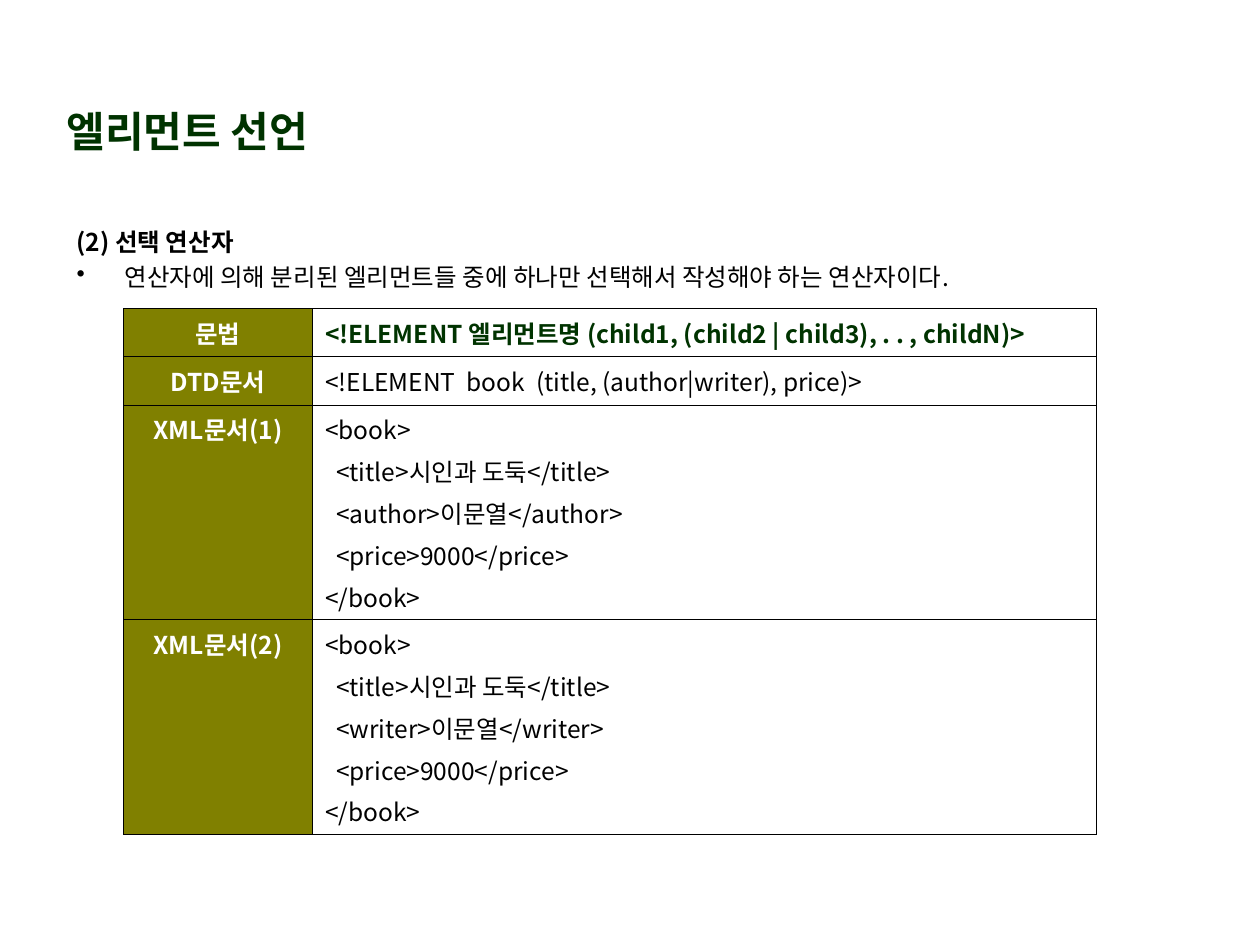
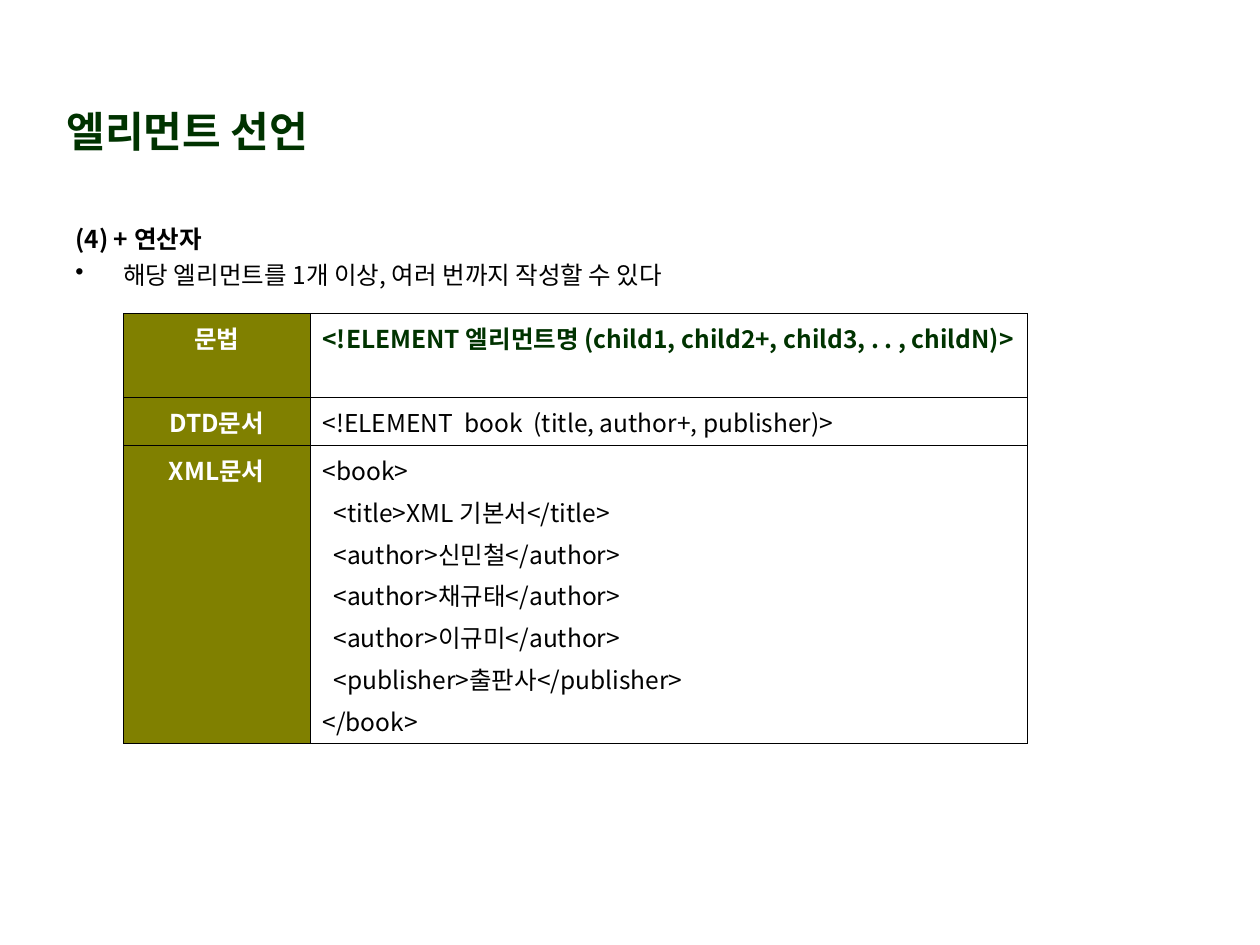
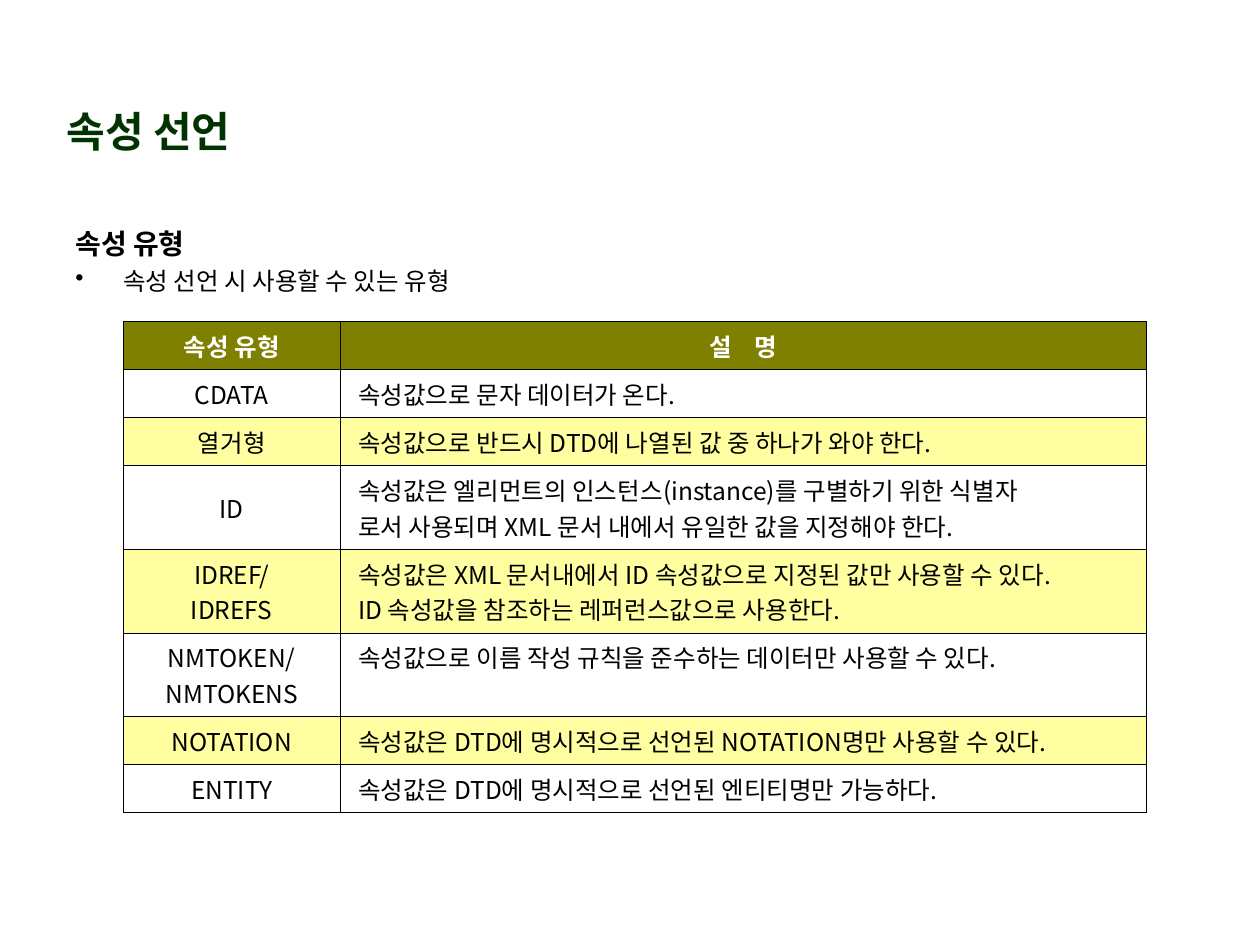
from dataclasses import dataclass

from lxml import etree
from pptx import Presentation
from pptx import util as u
from pptx.dml.color import RGBColor
from pptx.enum import text
from pptx.oxml import ns

# Shared look
FONT = "Noto Sans CJK KR"
DARK_GREEN = RGBColor(0x00, 0x33, 0x00)
OLIVE = RGBColor(0x80, 0x80, 0x00)
PALE_YELLOW = RGBColor(0xFF, 0xFF, 0xA1)
WHITE = RGBColor(0xFF, 0xFF, 0xFF)
BLACK = RGBColor(0x00, 0x00, 0x00)
BODY_SIZE = 14
LINE_GAP = 3.5  # points between paragraphs

# Grid of 100 columns by 75 rows
WIDTH, HEIGHT = u.Inches(10), u.Inches(7.5)
TABLE_LEFT = 9.8
LINE_ROWS, MARGIN_ROWS = 2.82, 1.0  # one line of text, cell margins

CENTER = text.PP_ALIGN.CENTER
TOP, MIDDLE = text.MSO_ANCHOR.TOP, text.MSO_ANCHOR.MIDDLE


@dataclass(frozen=True)
class Style:
    color: RGBColor = BLACK
    bold: bool = False
    size: float = BODY_SIZE


TITLE = Style(DARK_GREEN, True, 24)
HEADER = Style(WHITE, True)
GRAMMAR = Style(DARK_GREEN, True)
HEADING = Style(bold=True)
BODY = Style()


@dataclass(frozen=True)
class Cell:
    lines: tuple[str, ...]
    style: Style = BODY
    fill: RGBColor | None = None
    align: text.PP_ALIGN | None = None
    anchor: text.MSO_ANCHOR = TOP
    gap: float = 0
    indent: float = 1.0  # left margin in columns


@dataclass(frozen=True)
class Row:
    label: Cell
    content: Cell
    wrapped_lines: int = 1

    def height(self) -> float:
        count = max(len(self.label.lines), len(self.content.lines), self.wrapped_lines)
        gaps = (count - 1) * self.content.gap * 10 / 72
        return MARGIN_ROWS + count * LINE_ROWS + gaps


@dataclass(frozen=True)
class Page:
    title: str
    heading: str
    heading_style: Style
    bullet: str
    intro_at: tuple[float, float]
    table_top: float
    columns: tuple[float, float]
    rows: tuple[Row, ...]


def across(columns: float) -> int:
    return round(WIDTH * columns / 100)


def down(rows: float) -> int:
    return round(HEIGHT * rows / 75)


# Text
def add_span(para, words: str, style: Style):
    span = para.add_run()
    span.text = words
    span.font.name = FONT
    span.font.size = u.Pt(style.size)
    span.font.bold = style.bold
    span.font.color.rgb = style.color
    east_asian = etree.SubElement(span.font._element, ns.qn("a:ea"))
    east_asian.set("typeface", FONT)
    return span


def add_box(slide, left: float, top: float, width: float, height: float):
    box = slide.shapes.add_textbox(across(left), down(top), across(width), down(height))
    box.text_frame.word_wrap = True
    return box.text_frame


def hang_bullet(para) -> None:
    properties = para._p.get_or_add_pPr()
    properties.set("marL", str(across(3.8)))
    properties.set("indent", str(-across(3.8)))
    color = etree.SubElement(properties, ns.qn("a:buClr"))
    etree.SubElement(color, ns.qn("a:srgbClr")).set("val", str(BLACK))
    etree.SubElement(properties, ns.qn("a:buChar")).set("char", "•")


def add_title(slide, words: str) -> None:
    frame = add_box(slide, 4.3, 7.6, 44.1, 5.5)
    frame.vertical_anchor = MIDDLE
    add_span(frame.paragraphs[0], words, TITLE)


def add_intro(slide, page: Page) -> None:
    frame = add_box(slide, *page.intro_at, 89.9, 5.8)
    add_span(frame.paragraphs[0], page.heading, page.heading_style)
    para = frame.add_paragraph()
    hang_bullet(para)
    para.space_before = u.Pt(LINE_GAP)
    add_span(para, page.bullet, BODY)


# Table
def draw_borders(target) -> None:
    properties = target._tc.get_or_add_tcPr()
    for side in ("lnL", "lnR", "lnT", "lnB"):
        line = etree.SubElement(properties, ns.qn(f"a:{side}"))
        line.set("w", str(u.Pt(0.45)))
        fill = etree.SubElement(line, ns.qn("a:solidFill"))
        etree.SubElement(fill, ns.qn("a:srgbClr")).set("val", str(BLACK))


def fill_cell(target, cell: Cell) -> None:
    draw_borders(target)
    if cell.fill is None:
        target.fill.background()
    else:
        target.fill.solid()
        target.fill.fore_color.rgb = cell.fill
    target.margin_left = across(cell.indent)
    target.vertical_anchor = cell.anchor
    frame = target.text_frame
    for index, line in enumerate(cell.lines):
        para = frame.add_paragraph() if index else frame.paragraphs[0]
        para.alignment = cell.align
        if index:
            para.space_before = u.Pt(cell.gap)
        add_span(para, line, cell.style)


def add_grid(slide, page: Page):
    heights = [row.height() for row in page.rows]
    frame = slide.shapes.add_table(
        len(page.rows), 2, across(TABLE_LEFT), down(page.table_top),
        across(sum(page.columns)), down(sum(heights)))
    table = frame.table
    table.first_row = table.horz_banding = False
    for column, width in zip(table.columns, page.columns):
        column.width = across(width)
    for index, row in enumerate(page.rows):
        table.rows[index].height = down(heights[index])
        fill_cell(table.cell(index, 0), row.label)
        fill_cell(table.cell(index, 1), row.content)
    return table


def spread_words(target, style: Style, points: float) -> None:
    """Widen the space between the words of a one-line cell."""
    para = target.text_frame.paragraphs[0]
    first, second = para.text.split()
    para.clear()
    add_span(para, first, style)
    space = add_span(para, " ", style)
    space.font._element.set("spc", str(round(points * 100)))
    add_span(para, second, style)


# Kinds of rows
def header_cell(words: str) -> Cell:
    return Cell((words,), HEADER, OLIVE, CENTER)


def grammar_row(words: str, wrapped_lines: int = 1) -> Row:
    return Row(header_cell("문법"), Cell((words,), GRAMMAR), wrapped_lines)


def code_row(label: str, *lines: str) -> Row:
    return Row(header_cell(label), Cell(lines, gap=LINE_GAP))


def book_row(label: str, *children: tuple[str, str]) -> Row:
    inner = (f"  <{tag}>{value}</{tag}>" for tag, value in children)
    return code_row(label, "<book>", *inner, "</book>")


def type_rows(*entries: tuple[tuple[str, ...], tuple[str, ...], bool]) -> tuple[Row, ...]:
    rows = [Row(header_cell("속성 유형"), header_cell("설 명"))]
    for names, description, shaded in entries:
        fill = PALE_YELLOW if shaded else None
        rows.append(Row(Cell(names, fill=fill, align=CENTER, anchor=MIDDLE),
                        Cell(description, fill=fill, indent=1.43)))
    return tuple(rows)


# Content
CHOICE = Page(
    "엘리먼트 선언", "(2) 선택 연산자", HEADING,
    "연산자에 의해 분리된 엘리먼트들 중에 하나만 선택해서 작성해야 하는 연산자이다.",
    (5.1, 17.5), 24.5, (15, 62.2),
    (
        grammar_row("<!ELEMENT 엘리먼트명 (child1, (child2 | child3), . . , childN)>"),
        code_row("DTD문서", "<!ELEMENT  book  (title, (author|writer), price)>"),
        book_row("XML문서(1)", ("title", "시인과 도둑"), ("author", "이문열"), ("price", "9000")),
        book_row("XML문서(2)", ("title", "시인과 도둑"), ("writer", "이문열"), ("price", "9000")),
    ))

ONE_OR_MORE = Page(
    "엘리먼트 선언", "(4) + 연산자", HEADING,
    "해당 엘리먼트를 1개 이상, 여러 번까지 작성할 수 있다",
    (5, 17.3), 24.9, (14.8, 56.9),
    (
        grammar_row("<!ELEMENT 엘리먼트명 (child1, child2+, child3, . . , childN)>", 2),
        code_row("DTD문서", "<!ELEMENT  book  (title, author+, publisher)>"),
        book_row("XML문서", ("title", "XML 기본서"), ("author", "신민철"), ("author", "채규태"),
                 ("author", "이규미"), ("publisher", "출판사")),
    ))

ATTRIBUTE_TYPES = Page(
    "속성 선언", "속성 유형", Style(bold=True, size=16),
    "속성 선언 시 사용할 수 있는 유형",
    (5, 17.5), 25.5, (17.2, 64),
    type_rows(
        (("CDATA",), ("속성값으로 문자 데이터가 온다.",), False),
        (("열거형",), ("속성값으로 반드시 DTD에 나열된 값 중 하나가 와야 한다.",), True),
        (("ID",), ("속성값은 엘리먼트의 인스턴스(instance)를 구별하기 위한 식별자",
                   "로서 사용되며 XML 문서 내에서 유일한 값을 지정해야 한다."), False),
        (("IDREF/", "IDREFS"),
         ("속성값은 XML 문서내에서 ID 속성값으로 지정된 값만 사용할 수 있다.",
          "ID 속성값을 참조하는 레퍼런스값으로 사용한다."), True),
        (("NMTOKEN/", "NMTOKENS"),
         ("속성값으로 이름 작성 규칙을 준수하는 데이터만 사용할 수 있다.",), False),
        (("NOTATION",), ("속성값은 DTD에 명시적으로 선언된 NOTATION명만 사용할 수 있다.",), True),
        (("ENTITY",), ("속성값은 DTD에 명시적으로 선언된 엔티티명만 가능하다.",), False),
    ))


def add_page(deck, page: Page):
    slide = deck.slides.add_slide(deck.slide_layouts[6])
    add_title(slide, page.title)
    add_intro(slide, page)
    return add_grid(slide, page)


def main() -> None:
    deck = Presentation()
    deck.slide_width, deck.slide_height = WIDTH, HEIGHT
    add_page(deck, CHOICE)
    add_page(deck, ONE_OR_MORE)
    types_table = add_page(deck, ATTRIBUTE_TYPES)
    spread_words(types_table.cell(0, 1), HEADER, 9.4)
    deck.save("out.pptx")


if __name__ == "__main__":
    main()
